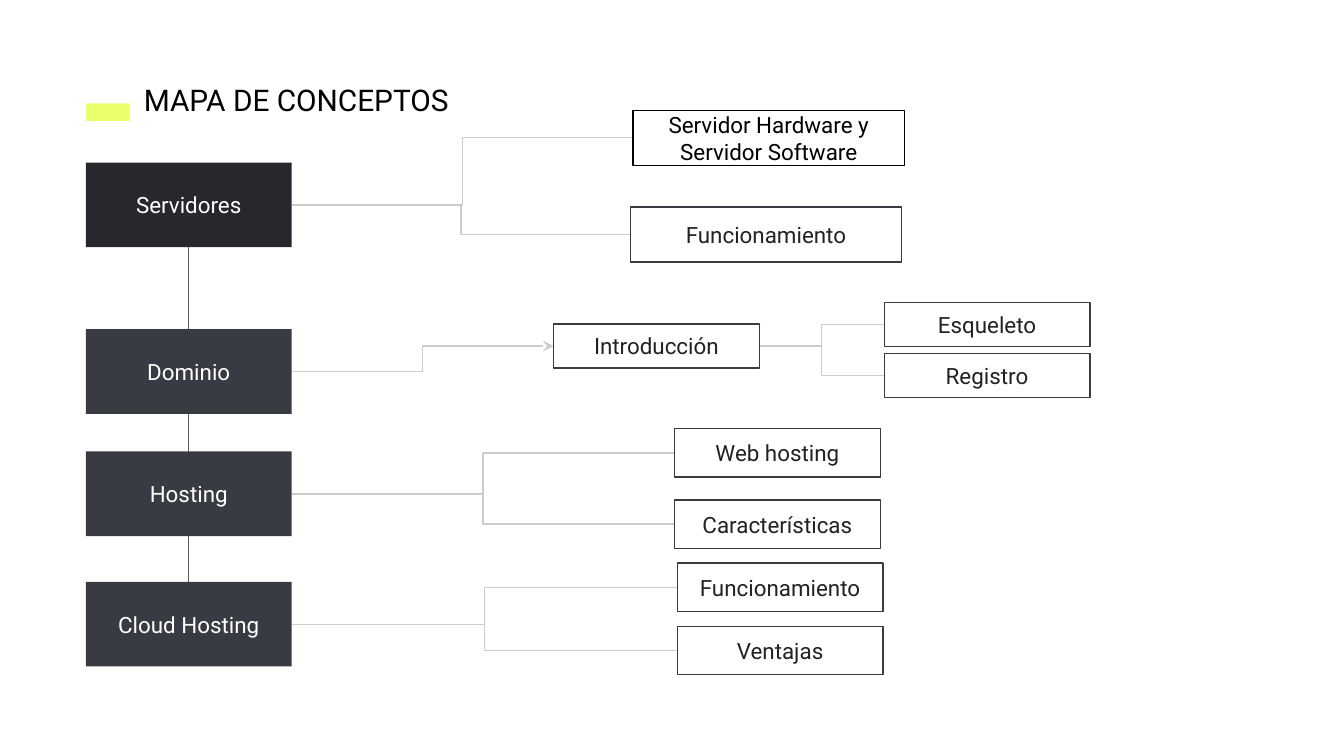
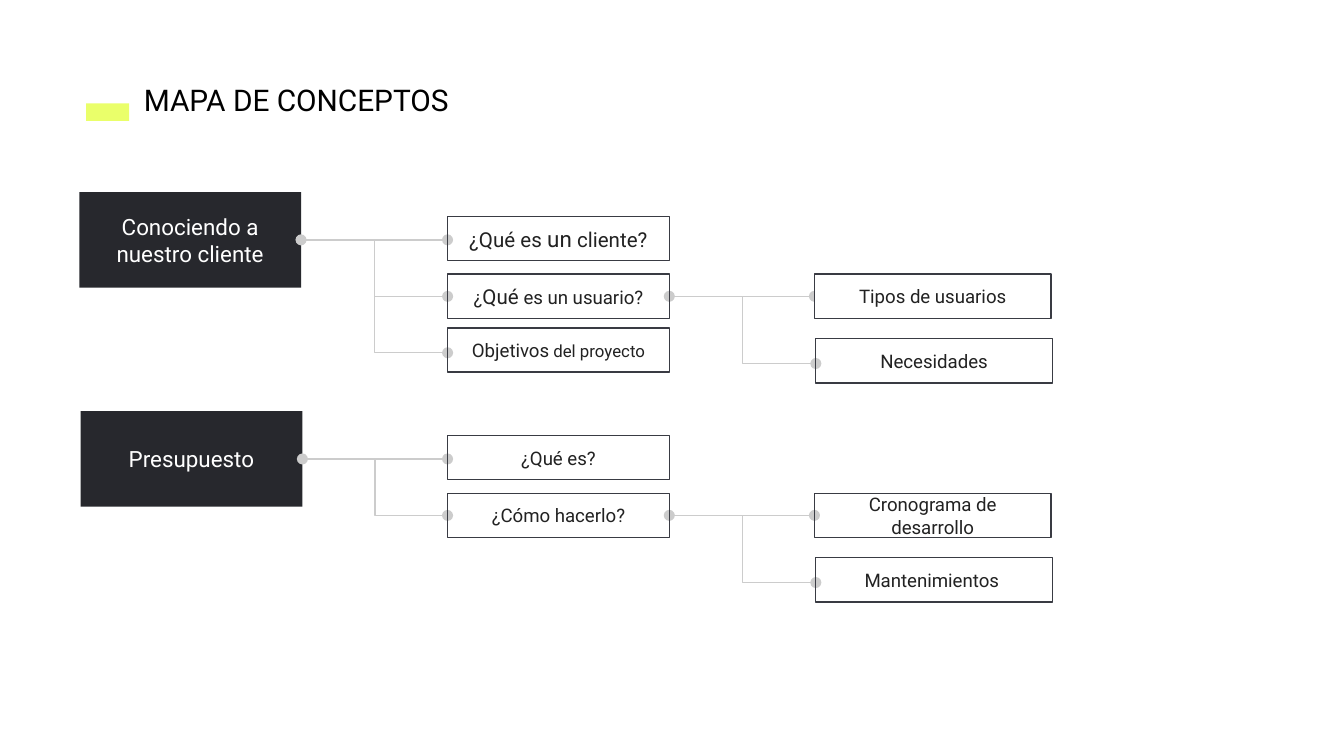
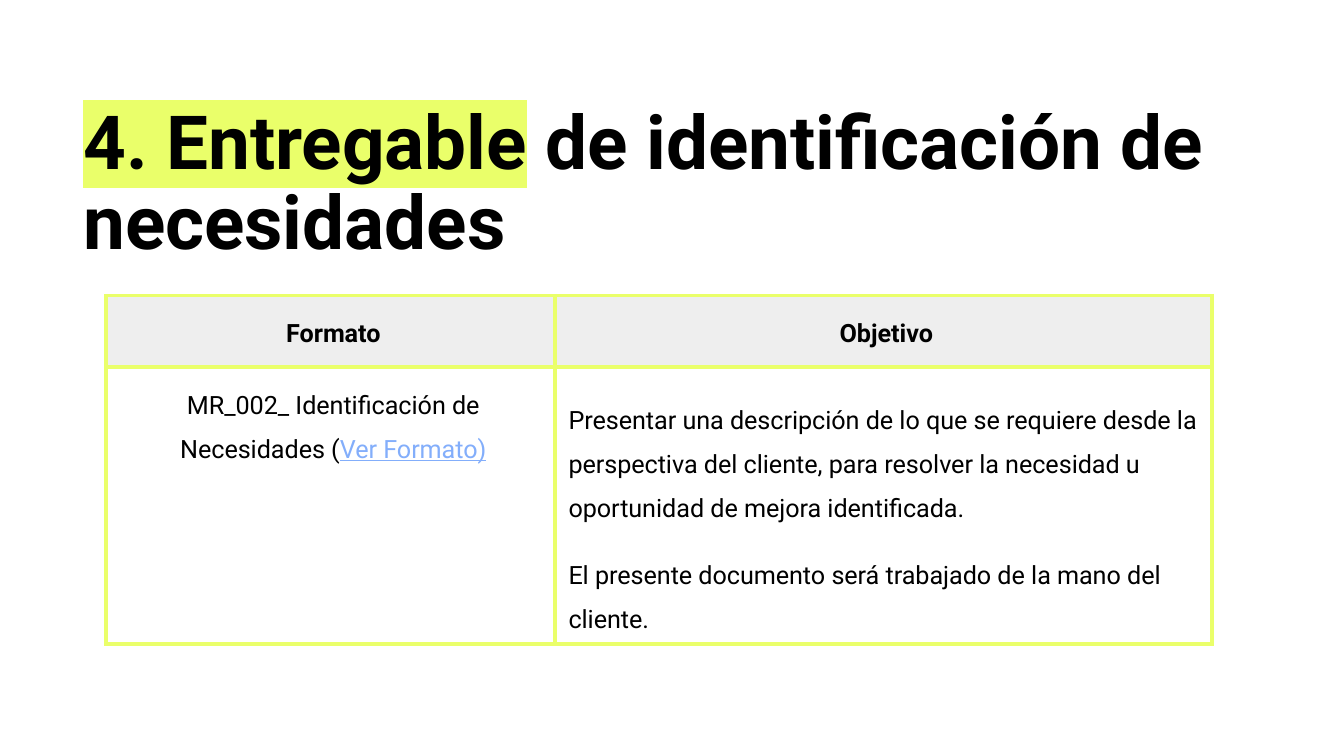
from dataclasses import dataclass
from typing import Optional

from lxml.etree import SubElement
from pptx import Presentation
from pptx.dml.color import RGBColor as RGB
from pptx.enum.shapes import MSO_CONNECTOR as Conn, MSO_SHAPE as Shape
from pptx.enum.text import MSO_ANCHOR as Anchor, MSO_AUTO_SIZE as AutoSize, PP_ALIGN as Align
from pptx.oxml import parse_xml
from pptx.oxml.ns import nsdecls, qn
from pptx.util import Inches, Pt


@dataclass(frozen=True)
class Theme:
    font: str = "Roboto"
    black: str = "000000"
    white: str = "FFFFFF"
    ink: str = "222222"
    dark: str = "27282D"
    slate: str = "393B43"
    stem: str = "595959"
    link: str = "CCCCCC"
    accent: str = "EAFF6A"
    header: str = "EEEEEE"
    anchor: str = "83AEFB"
    map_title: float = 16
    big_title: float = 40
    node: float = 12
    mid: float = 11
    small: float = 10
    tiny: float = 9
    cell: float = 13.5
    hairline: float = 0.75
    border: float = 2.25


T = Theme()


@dataclass(frozen=True)
class Run:
    text: str
    size: float
    color: str = T.ink
    bold: bool = False
    underline: bool = False
    highlight: Optional[str] = None


@dataclass(frozen=True)
class Node:
    runs: tuple[Run, ...]
    left: float
    top: float
    width: float
    height: float
    fill: Optional[str] = None
    line: Optional[str] = None

    @property
    def right(self) -> float:
        return self.left + self.width

    @property
    def bottom(self) -> float:
        return self.top + self.height

    @property
    def center(self) -> float:
        return self.left + self.width / 2

    @property
    def middle(self) -> float:
        return self.top + self.height / 2


@dataclass(frozen=True)
class Link:
    parent: Node
    child: Node
    tail: Optional[str] = None
    drop: float = 0


def topic(text: str, left: float, top: float, width: float, height: float, fill: str = T.slate) -> Node:
    return Node((Run(text, T.node, T.white),), left, top, width, height, fill)


def detail(text: str, left: float, top: float, width: float, height: float,
           size: float = T.node, fill: Optional[str] = T.white) -> Node:
    return Node((Run(text, size),), left, top, width, height, fill, T.slate)


def add_run(p, run: Run) -> None:
    r = p.add_run()
    r.text = run.text
    font = r.font
    font.name, font.size, font.bold = T.font, Pt(run.size), run.bold
    font.underline = run.underline
    font.color.rgb = RGB.from_string(run.color)
    if run.highlight:
        fill = r._r.rPr.find(qn("a:solidFill"))
        fill.addnext(parse_xml(
            f'<a:highlight {nsdecls("a")}><a:srgbClr val="{run.highlight}"/></a:highlight>'))


def set_margins(tf, margin: float = 0.1) -> None:
    tf.margin_left = tf.margin_right = tf.margin_top = tf.margin_bottom = Inches(margin)


def add_title(s, runs: tuple[Run, ...], left: float, top: float, width: float, height: float,
              spacing: float = 1.0) -> None:
    sp = s.shapes.title
    sp.left, sp.top, sp.width, sp.height = (Inches(v) for v in (left, top, width, height))
    tf = sp.text_frame
    tf.auto_size, tf.word_wrap, tf.vertical_anchor = AutoSize.NONE, True, Anchor.TOP
    set_margins(tf)
    p = tf.paragraphs[0]
    p.alignment, p.line_spacing = Align.LEFT, spacing
    for run in runs:
        add_run(p, run)


def add_node(s, node: Node) -> None:
    sp = s.shapes.add_shape(Shape.RECTANGLE, Inches(node.left), Inches(node.top),
                            Inches(node.width), Inches(node.height))
    sp.shadow.inherit = False
    if node.fill:
        sp.fill.solid()
        sp.fill.fore_color.rgb = RGB.from_string(node.fill)
    else:
        sp.fill.background()
    if node.line:
        sp.line.color.rgb = RGB.from_string(node.line)
        sp.line.width = Pt(T.hairline)
    else:
        sp.line.fill.background()
    tf = sp.text_frame
    tf.word_wrap, tf.vertical_anchor = True, Anchor.MIDDLE
    set_margins(tf)
    p = tf.paragraphs[0]
    p.alignment = Align.CENTER
    for run in node.runs:
        add_run(p, run)


def add_line(s, kind, x1: float, y1: float, x2: float, y2: float, color: str,
             head: Optional[str] = None, tail: Optional[str] = None) -> None:
    cxn = s.shapes.add_connector(kind, Inches(x1), Inches(y1), Inches(x2), Inches(y2))
    cxn.line.color.rgb = RGB.from_string(color)
    cxn.line.width = Pt(T.hairline)
    ln = cxn.line._get_or_add_ln()
    for tag, end in (("a:headEnd", head), ("a:tailEnd", tail)):
        if end:
            SubElement(ln, qn(tag), type=end)
    SubElement(cxn._element.spPr, qn("a:effectLst"))


def add_link(s, link: Link) -> None:
    y1, y2 = link.parent.middle, link.child.middle + link.drop
    straight = abs(y2 - y1) < 0.02
    kind, end = (Conn.STRAIGHT, y1) if straight else (Conn.ELBOW, y2)
    add_line(s, kind, link.parent.right, y1, link.child.left, end, T.link,
             link.tail if straight else None, link.tail)


def add_map(prs, topics: list[Node], details: list[Node], links: list[Link], stems: bool) -> None:
    s = prs.slides.add_slide(prs.slide_layouts[5])
    add_title(s, (Run("MAPA DE CONCEPTOS", T.map_title, T.black),), 0.97, 0.51, 2.69, 0.47)
    add_node(s, Node((), 0.64, 0.77, 0.32, 0.13, T.accent))
    for node in topics:
        add_node(s, node)
    if stems:
        for upper, lower in zip(topics, topics[1:]):
            add_line(s, Conn.STRAIGHT, upper.center, upper.bottom, lower.center, lower.top, T.stem)
    for link in links:
        add_link(s, link)
    for node in details:
        add_node(s, node)


def hosting_map(prs) -> None:
    size = (1.53, 0.63)
    servers = topic("Servidores", 0.64, 1.21, *size, fill=T.dark)
    domain = topic("Dominio", 0.64, 2.45, *size)
    hosting = topic("Hosting", 0.64, 3.36, *size)
    cloud = topic("Cloud Hosting", 0.64, 4.33, *size)

    kinds = Node((Run("Servidor Hardware y Servidor Software", T.node, T.black),),
                 4.71, 0.82, 2.02, 0.41, line=T.black)
    operation = detail("Funcionamiento", 4.69, 1.54, 2.02, 0.41, fill=None)
    intro = detail("Introducción", 4.12, 2.41, 1.53, 0.33)
    skeleton = detail("Esqueleto", 6.58, 2.25, 1.53, 0.33)
    registry = detail("Registro", 6.58, 2.63, 1.53, 0.33)
    web = detail("Web hosting", 5.02, 3.19, 1.53, 0.36)
    features = detail("Características", 5.02, 3.72, 1.53, 0.36)
    cloud_use = detail("Funcionamiento", 5.04, 4.19, 1.53, 0.36)
    benefits = detail("Ventajas", 5.04, 4.66, 1.53, 0.36)

    branches = [(servers, kinds), (servers, operation), (intro, skeleton), (intro, registry),
                (hosting, web), (hosting, features), (cloud, cloud_use), (cloud, benefits)]
    links = [Link(domain, intro, "stealth")] + [Link(*pair) for pair in branches]
    details = [kinds, operation, intro, skeleton, registry, web, features, cloud_use, benefits]
    add_map(prs, [servers, domain, hosting, cloud], details, links, stems=True)


def client_map(prs) -> None:
    def middle(top: float, *runs: Run) -> Node:
        return Node(runs, 3.33, top, 1.65, 0.33, line=T.slate)

    def outer(text: str, left: float, top: float, fill: Optional[str] = None) -> Node:
        return detail(text, left, top, 1.76, 0.33, T.small, fill)

    client = topic("Conociendo a nuestro cliente", 0.59, 1.43, 1.65, 0.71, T.dark)
    budget = topic("Presupuesto", 0.6, 3.06, 1.65, 0.71, T.dark)

    what_client = middle(1.61, Run("¿Qué es ", T.mid), Run("un", T.node), Run(" cliente?", T.mid))
    what_user = middle(2.04, Run("¿", T.small), Run("Qué", T.mid), Run(" es un usuario?", T.small))
    goals = middle(2.44, Run("Objetivos", T.small), Run(" del proyecto", T.tiny))
    what_budget = middle(3.24, Run("¿Qué es?", T.small))
    how = middle(3.67, Run("¿Cómo hacerlo?", T.small))
    user_types = outer("Tipos de usuarios", 6.06, 2.04, T.white)
    needs = outer("Necesidades", 6.07, 2.52)
    schedule = outer("Cronograma de desarrollo", 6.06, 3.67)
    upkeep = outer("Mantenimientos ", 6.07, 4.15)

    branches = [(client, what_client, 0), (client, what_user, 0), (client, goals, 0.02),
                (what_user, user_types, 0), (what_user, needs, 0.02),
                (budget, what_budget, 0), (budget, how, 0),
                (how, schedule, 0), (how, upkeep, 0.02)]
    links = [Link(parent, child, "oval", drop) for parent, child, drop in branches]
    details = [what_client, what_user, goals, what_budget, how, user_types, needs, schedule, upkeep]
    add_map(prs, [client, budget], details, links, stems=False)


def add_borders(cell) -> None:
    tcPr = cell._tc.get_or_add_tcPr()
    for i, side in enumerate(("lnL", "lnR", "lnT", "lnB")):
        tcPr.insert(i, parse_xml(
            f'<a:{side} {nsdecls("a")} w="{Pt(T.border)}"><a:solidFill>'
            f'<a:srgbClr val="{T.accent}"/></a:solidFill></a:{side}>'))


def fill_cell(cell, paragraphs: list[list[Run]], align, fill: Optional[str], anchor) -> None:
    if fill:
        cell.fill.solid()
        cell.fill.fore_color.rgb = RGB.from_string(fill)
    else:
        cell.fill.background()
    add_borders(cell)
    cell.vertical_anchor = anchor
    cell.margin_left = cell.margin_right = Inches(0.06)
    cell.margin_top = cell.margin_bottom = Inches(0.07)
    tf = cell.text_frame
    for i, runs in enumerate(paragraphs):
        p = tf.add_paragraph() if i else tf.paragraphs[0]
        p.alignment, p.line_spacing = align, 1.5
        p._p.get_or_add_pPr().set("marL", str(Inches(0.04)))
        if i:
            p.space_before = Pt(12)
        for run in runs:
            add_run(p, run)


def deliverable(prs) -> None:
    s = prs.slides.add_slide(prs.slide_layouts[5])
    add_title(s, (Run("4. Entregable", T.big_title, T.black, True, highlight=T.accent),
                  Run(" de identificación de necesidades", T.big_title, T.black, True)),
              0.52, 0.68, 8.9, 1.41, 0.9)

    widths, heights = (3.34, 4.89), (0.53, 2.06)
    table = s.shapes.add_table(2, 2, Inches(0.79), Inches(2.2),
                               Inches(sum(widths)), Inches(sum(heights))).table
    table.first_row = table.horz_banding = False
    for col, width in zip(table.columns, widths):
        col.width = Inches(width)
    for row, height in zip(table.rows, heights):
        row.height = Inches(height)

    for col, label in enumerate(("Formato", "Objetivo")):
        fill_cell(table.cell(0, col), [[Run(label, T.cell, T.black, True)]],
                  Align.CENTER, T.header, Anchor.TOP)
    fill_cell(table.cell(1, 0),
              [[Run("MR_002_ Identificación de Necesidades (", T.cell, T.black),
                Run("Ver Formato)", T.cell, T.anchor, underline=True)]],
              Align.CENTER, None, Anchor.TOP)
    goals = ("Presentar una descripción de lo que se requiere desde la perspectiva del cliente, "
             "para resolver la necesidad u oportunidad de mejora identificada.",
             "El presente documento será trabajado de la mano del cliente.")
    fill_cell(table.cell(1, 1), [[Run(goal, T.cell, T.black)] for goal in goals],
              Align.LEFT, None, Anchor.BOTTOM)


def main() -> None:
    prs = Presentation()
    prs.slide_width = Inches(10)
    prs.slide_height = prs.slide_width * 9 // 16
    hosting_map(prs)
    client_map(prs)
    deliverable(prs)
    prs.save("out.pptx")


if __name__ == "__main__":
    main()
